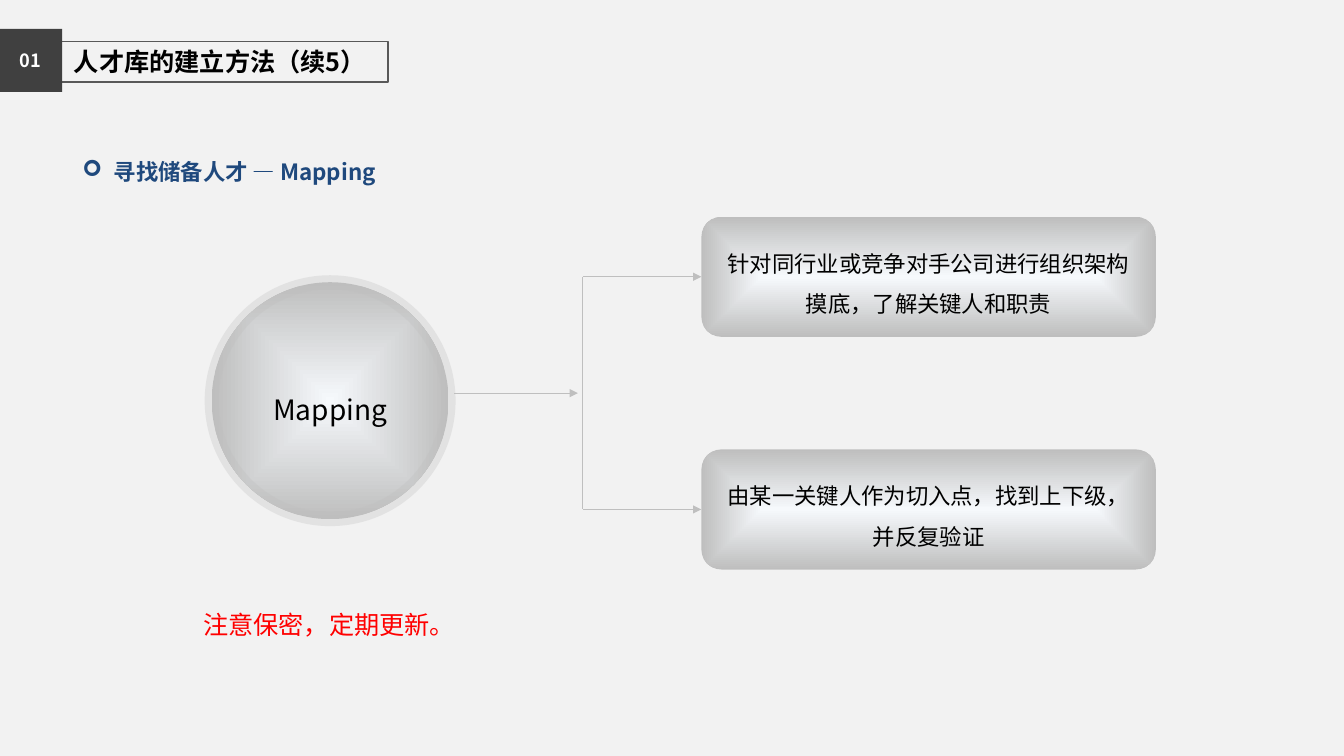
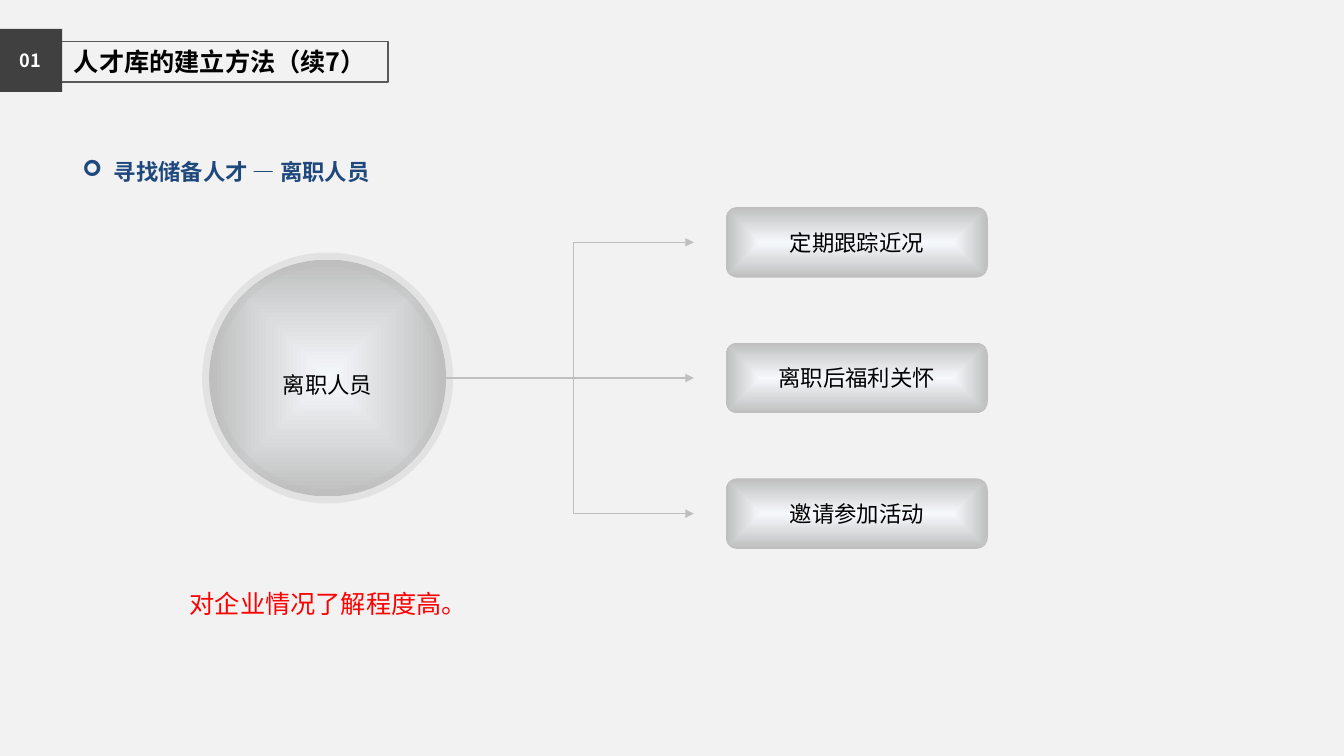
"""Build two talent-pool slides that share a header and a hub-and-branch diagram."""
from dataclasses import dataclass

from lxml.etree import SubElement
from pptx import Presentation
from pptx.dml.color import RGBColor
from pptx.enum.lang import MSO_LANGUAGE_ID
from pptx.enum.shapes import MSO_CONNECTOR, MSO_SHAPE
from pptx.enum.text import MSO_ANCHOR, PP_ALIGN
from pptx.oxml.ns import qn
from pptx.util import Inches, Pt


@dataclass(frozen=True)
class Theme:
    """Colours, font and type sizes of the deck."""
    font: str = "Noto Sans CJK SC"
    back: str = "F2F2F2"
    badge: str = "404040"
    frame: str = "595959"
    ink: str = "000000"
    light: str = "FFFFFF"
    heading: str = "1F497D"
    alert: str = "FF0000"
    glow: str = "F6F9FC"
    edge: str = "BEBEBE"
    line: str = "BFBFBF"
    title_size: int = 18
    note_size: int = 18
    hub_size: int = 20
    body_size: int = 16
    badge_size: int = 13


T = Theme()
WIDTH, HEIGHT = Inches(13.333), Inches(7.5)
COLS, ROWS = 160, 90


def cx(n):
    """Turn grid columns into a length."""
    return round(n * WIDTH / COLS)


def ry(n):
    """Turn grid rows into a length."""
    return round(n * HEIGHT / ROWS)


def rgb(code):
    """Turn a hex code into a colour."""
    return RGBColor.from_string(code)


def write(sp, text, size, color, bold=False, align=PP_ALIGN.LEFT,
          anchor=MSO_ANCHOR.TOP, spacing=None):
    """Set one styled paragraph in a shape and return it."""
    tf = sp.text_frame
    tf.word_wrap = True
    tf.vertical_anchor = anchor
    p = tf.paragraphs[0]
    p.alignment = align
    if spacing:
        p.line_spacing = spacing
    r = p.add_run()
    r.text = text
    f = r.font
    f.name, f.size, f.bold = T.font, Pt(size), bold
    f.color.rgb = rgb(color)
    f.language_id = MSO_LANGUAGE_ID.SIMPLIFIED_CHINESE
    SubElement(r._r.rPr, qn("a:ea"), typeface=T.font)
    return p


def add_block(s, kind, x, y, w, h):
    """Add a preset shape without fill, line or shadow."""
    sp = s.shapes.add_shape(kind, cx(x), ry(y), cx(w), ry(h))
    sp.shadow.inherit = False
    sp.fill.background()
    sp.line.fill.background()
    return sp


def glow_fill(sp):
    """Fill a shape with a gradient that runs from its centre to its edges."""
    sp.fill.gradient()
    for stop, color in zip(sp.fill.gradient_stops, (T.glow, T.edge)):
        stop.color.rgb = rgb(color)
    grad = sp._element.spPr.find(qn("a:gradFill"))
    grad.remove(grad.find(qn("a:lin")))
    focus = SubElement(grad, qn("a:path"), path="rect")
    SubElement(focus, qn("a:fillToRect"), l="50000", t="50000", r="50000", b="50000")


def add_header(s, title):
    """Add the framed title and the numbered badge."""
    sp = add_block(s, MSO_SHAPE.RECTANGLE, 6.2, 4.95, 40, 4.8)
    sp.line.color.rgb = rgb(T.frame)
    sp.line.width = Pt(1)
    sp.text_frame.margin_left = cx(2.6)
    write(sp, title, T.title_size, T.ink, bold=True)
    sp = add_block(s, MSO_SHAPE.RECTANGLE, -0.1, 3.45, 7.5, 7.5)
    sp.fill.solid()
    sp.fill.fore_color.rgb = rgb(T.badge)
    write(sp, "01", T.badge_size, T.light, True, PP_ALIGN.CENTER, MSO_ANCHOR.MIDDLE)


def add_heading(s, text):
    """Add the arrow-bulleted section heading."""
    sp = s.shapes.add_textbox(cx(7.4), ry(17.6), cx(60), ry(5.6))
    tf = sp.text_frame
    tf.margin_left = tf.margin_right = cx(2.4)
    tf.margin_top = tf.margin_bottom = ry(1.2)
    p = write(sp, text, T.body_size, T.heading, bold=True)
    pPr = p._p.get_or_add_pPr()
    pPr.set("marL", str(cx(3.75)))
    pPr.set("indent", str(-cx(3.75)))
    SubElement(pPr, qn("a:buFont"), typeface="Wingdings")
    SubElement(pPr, qn("a:buChar"), char="➢")


def add_note(s, text, x, y):
    """Add the red remark below the hub."""
    sp = s.shapes.add_textbox(cx(x), ry(y), cx(50), ry(4.8))
    write(sp, text, T.note_size, T.alert)


def add_hub(s, text, size, x, y):
    """Add the round hub with its translucent ring."""
    sp = add_block(s, MSO_SHAPE.OVAL, x, y, 28.2, 28.2)
    glow_fill(sp)
    sp.line.color.rgb = rgb(T.edge)
    sp.line.width = Pt(10)
    color = sp.line._ln.find(qn("a:solidFill"))[0]
    SubElement(color, qn("a:alpha"), val="30000")
    write(sp, text, size, T.ink, False, PP_ALIGN.CENTER, MSO_ANCHOR.MIDDLE, 1.5)


def add_cards(s, texts, x, y, w, h, pitch, spacing=None):
    """Stack cards at an even pitch and return their centre rows."""
    for i, text in enumerate(texts):
        sp = add_block(s, MSO_SHAPE.ROUNDED_RECTANGLE, x, y + i * pitch, w, h)
        glow_fill(sp)
        write(sp, text, T.body_size, T.ink, False, PP_ALIGN.CENTER,
              MSO_ANCHOR.MIDDLE, spacing)
    return [y + h / 2 + i * pitch for i in range(len(texts))]


def add_line(s, x1, y1, x2, y2, arrow=True):
    """Add a thin line, with an arrowhead if asked."""
    c = s.shapes.add_connector(MSO_CONNECTOR.STRAIGHT, cx(x1), ry(y1), cx(x2), ry(y2))
    c.line.color.rgb = rgb(T.line)
    c.line.width = Pt(0.75)
    if arrow:
        SubElement(c.line._ln, qn("a:tailEnd"), type="triangle")
    SubElement(c._element.spPr, qn("a:effectLst"))


def add_branches(s, start, stem_end, trunk, tip, rows):
    """Link the hub to the outer rows by a stem, a trunk and two arrows."""
    top, bottom = rows[0], rows[-1]
    middle = (top + bottom) / 2
    add_line(s, start, middle, stem_end, middle)
    add_line(s, trunk, top, trunk, bottom, arrow=False)
    for row in (top, bottom):
        add_line(s, trunk, row, tip, row)


def new_slide(prs, title, heading):
    """Add a blank slide with background, header and heading."""
    s = prs.slides.add_slide(prs.slide_layouts[6])
    s.background.fill.solid()
    s.background.fill.fore_color.rgb = rgb(T.back)
    add_header(s, title)
    add_heading(s, heading)
    return s


def main():
    """Build and save the deck."""
    prs = Presentation()
    prs.slide_width, prs.slide_height = WIDTH, HEIGHT

    s = new_slide(prs, "人才库的建立方法（续5）", "寻找储备人才 — Mapping")
    add_note(s, "注意保密，定期更新。", 23, 71.9)
    add_hub(s, "Mapping", T.hub_size, 25.2, 33.6)
    rows = add_cards(s, ("针对同行业或竞争对手公司进行组织架构摸底，了解关键人和职责",
                         "由某一关键人作为切入点，找到上下级，并反复验证"),
                     83.5, 25.8, 54.1, 14.3, 27.7, spacing=1.5)
    add_branches(s, 54.1, 68.8, 69.4, 83.5, rows)

    s = new_slide(prs, "人才库的建立方法（续7）", "寻找储备人才 — 离职人员")
    add_note(s, "对企业情况了解程度高。", 21.4, 69.5)
    add_hub(s, "离职人员", T.body_size, 24.9, 30.9)
    rows = add_cards(s, ("定期跟踪近况", "离职后福利关怀", "邀请参加活动"),
                     86.4, 24.65, 31.2, 8.4, 16.15)
    add_branches(s, 53.1, 82.6, 68.3, 82.6, rows)

    prs.save("out.pptx")


if __name__ == "__main__":
    main()
